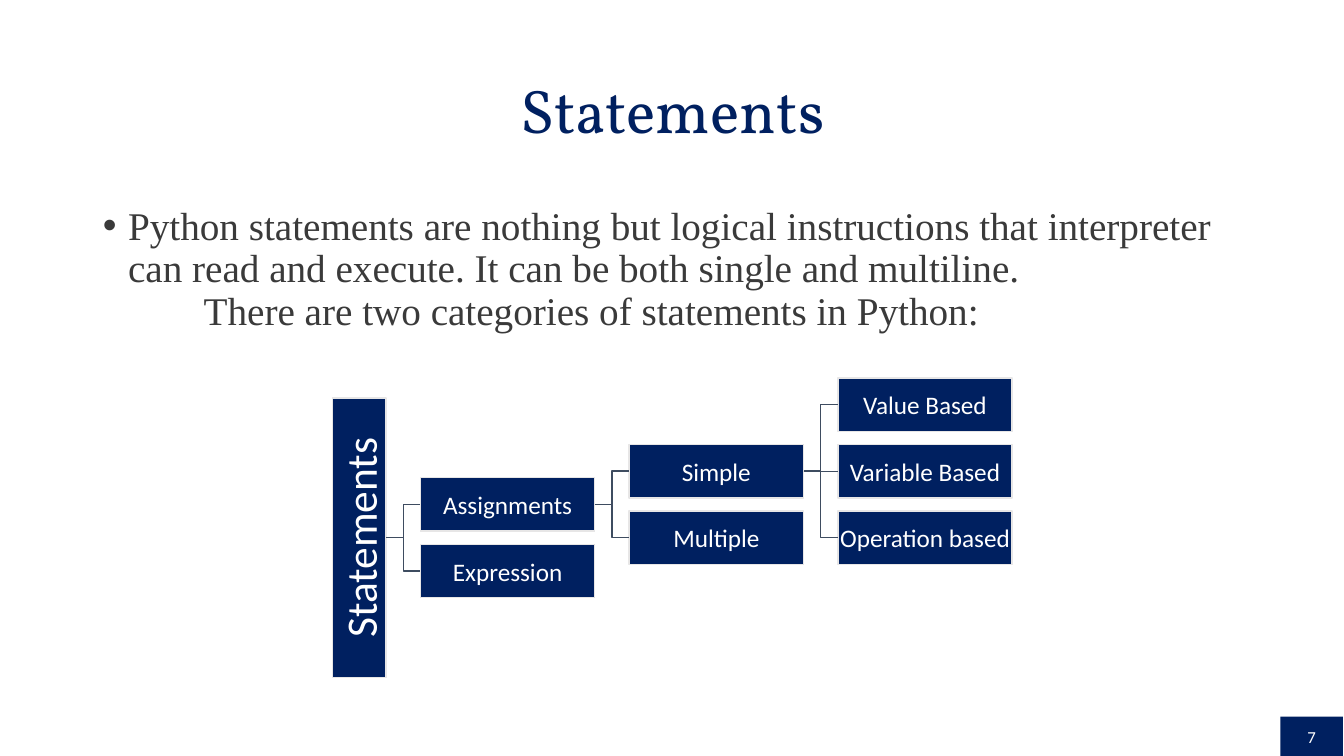
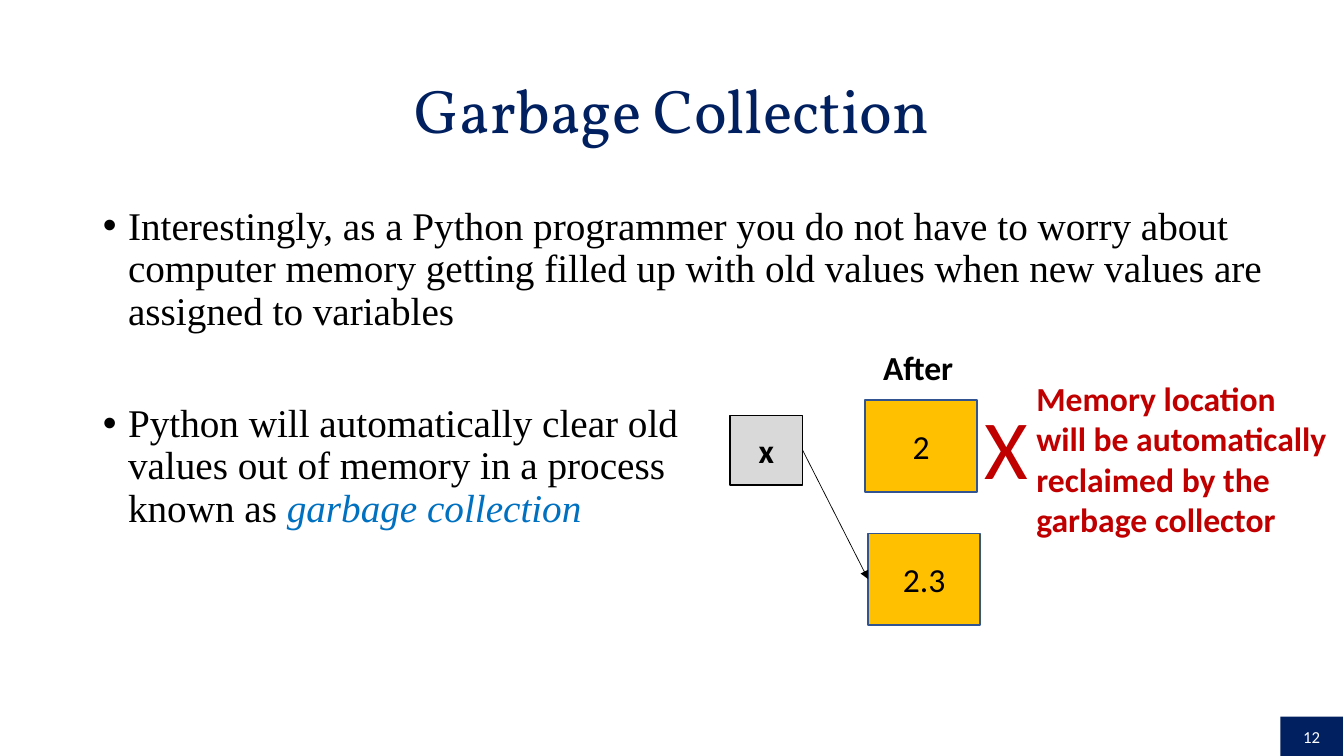
from dataclasses import dataclass

from lxml.etree import SubElement
from pptx import Presentation
from pptx.dml.color import RGBColor
from pptx.enum.shapes import MSO_CONNECTOR, MSO_SHAPE
from pptx.enum.text import MSO_ANCHOR, MSO_AUTO_SIZE, PP_ALIGN
from pptx.oxml.ns import qn
from pptx.util import Inches, Pt


@dataclass(frozen=True)
class Theme:
    """Colours, fonts and type sizes shared by the slides."""
    navy: RGBColor = RGBColor(0x00, 0x20, 0x60)
    white: RGBColor = RGBColor(0xFF, 0xFF, 0xFF)
    black: RGBColor = RGBColor(0x00, 0x00, 0x00)
    charcoal: RGBColor = RGBColor(0x3A, 0x3A, 0x3A)
    slate: RGBColor = RGBColor(0x3E, 0x4C, 0x60)
    pale: RGBColor = RGBColor(0xE7, 0xE6, 0xE6)
    grey: RGBColor = RGBColor(0xD9, 0xD9, 0xD9)
    amber: RGBColor = RGBColor(0xFF, 0xC0, 0x00)
    steel: RGBColor = RGBColor(0x32, 0x54, 0x91)
    blue: RGBColor = RGBColor(0x00, 0x70, 0xC0)
    red: RGBColor = RGBColor(0xC0, 0x00, 0x00)
    title_font: str = "Vollkorn"
    body_font: str = "Times New Roman"
    label_font: str = "Calibri"
    title_size: Pt = Pt(44)
    body_size: Pt = Pt(28)
    root_size: Pt = Pt(31)
    node_size: Pt = Pt(18)
    label_size: Pt = Pt(24)
    cross_size: Pt = Pt(60)
    number_size: Pt = Pt(12)


theme = Theme()


def add_box(page, place, text, size, fill, line, ink, bold=False):
    """Add a filled rectangle with centred text; line None means no outline."""
    box = page.shapes.add_shape(MSO_SHAPE.RECTANGLE, *map(Inches, place))
    box.shadow.inherit = False
    box.fill.solid()
    box.fill.fore_color.rgb = fill
    if line is None:
        box.line.fill.background()
    else:
        box.line.color.rgb = line
        box.line.width = Pt(1)
    frame = box.text_frame
    frame.vertical_anchor = MSO_ANCHOR.MIDDLE
    frame.margin_left = frame.margin_right = Inches(0.01)
    frame.margin_top = frame.margin_bottom = Inches(0.01)
    para = frame.paragraphs[0]
    para.text = text
    para.alignment = PP_ALIGN.CENTER
    para.font.name, para.font.size = theme.label_font, size
    para.font.color.rgb, para.font.bold = ink, bold
    return box


def add_link(page, kind, start, end, colour, width):
    """Join the right side of one box to the left side of another."""
    link = page.shapes.add_connector(kind, 0, 0, 0, 0)
    link.begin_connect(start, 3)
    link.end_connect(end, 1)
    link.line.color.rgb = colour
    link.line.width = Pt(width)
    SubElement(link._element.spPr, qn("a:effectLst"))
    return link


deck = Presentation()
deck.slide_width, deck.slide_height = Inches(13.33), Inches(7.5)

# Title, page number, body size, body colour, bullets with space before
slides = [
    ("Statements", "7", (11.5, 4.76), theme.charcoal, [
        ("Python statements are nothing but logical instructions that "
         "interpreter can read and execute. It can be both single and "
         "multiline.\v\t\tThere are two categories of statements in Python:",
         10)]),
    ("Garbage Collection", "12", (11.82, 5.13), theme.black, [
        ("Interestingly, as a Python programmer you do not have to worry "
         "about computer memory getting filled up with old values when new "
         "values are assigned to variables", 10),
        ("Python will automatically clear old\vvalues out of memory in a "
         "process\vknown as ", 50)]),
]

pages = []
for heading, number, (width, height), ink, bullets in slides:
    page = deck.slides.add_slide(deck.slide_layouts[1])
    pages.append(page)

    title = page.shapes.title
    title.left, title.top = Inches(0.92), Inches(0.4)
    title.width, title.height = Inches(11.5), Inches(1.45)
    title.text_frame.auto_size = MSO_AUTO_SIZE.NONE
    title.text_frame.vertical_anchor = MSO_ANCHOR.MIDDLE
    para = title.text_frame.paragraphs[0]
    para.text = heading
    para.alignment = PP_ALIGN.CENTER
    para.line_spacing = 0.9
    para.font.name, para.font.size = theme.title_font, theme.title_size
    para.font.color.rgb = theme.navy

    body = page.placeholders[1]
    body.left, body.top = Inches(0.92), Inches(2)
    body.width, body.height = Inches(width), Inches(height)
    frame = body.text_frame
    frame.auto_size = MSO_AUTO_SIZE.NONE
    for index, (text, space) in enumerate(bullets):
        para = frame.add_paragraph() if index else frame.paragraphs[0]
        para.text = text
        para.line_spacing = 0.9
        para.space_before = Pt(space)
        para.font.name, para.font.size = theme.body_font, theme.body_size
        para.font.color.rgb = ink
        properties = para._p.get_or_add_pPr()
        properties.set("marL", str(Inches(0.25)))
        properties.set("indent", str(Inches(-0.25)))

    add_box(page, (12.7, 7.11, 0.62, 0.4), number, theme.number_size,
            theme.navy, None, theme.white)

statements, garbage = pages

# Statement tree: name, parent, column, row in half steps
root = add_box(statements, (3.3, 3.95, 0.53, 2.77), "Statements",
               theme.root_size, theme.navy, theme.pale, theme.white)
root.text_frame._txBody.bodyPr.set("vert", "vert270")
nodes = {"Statements": root}
tree = [
    ("Assignments", "Statements", 0, 3),
    ("Expression", "Statements", 0, 5),
    ("Simple", "Assignments", 1, 2),
    ("Multiple", "Assignments", 1, 4),
    ("Value Based", "Simple", 2, 0),
    ("Variable Based", "Simple", 2, 2),
    ("Operation based", "Simple", 2, 4),
]
for name, parent, column, row in tree:
    place = (4.17 + 2.07 * column, 3.75 + 0.33 * row, 1.73, 0.53)
    nodes[name] = add_box(statements, place, name, theme.node_size,
                          theme.navy, theme.pale, theme.white)
    add_link(statements, MSO_CONNECTOR.ELBOW, nodes[parent], nodes[name],
             theme.slate, 1)

# Variable x now refers to the new value
variable = add_box(garbage, (7.24, 4.12, 0.72, 0.69), "x", theme.label_size,
                   theme.grey, theme.black, theme.black, bold=True)
old_value, new_value = [
    add_box(garbage, (left, top, 1.11, 0.91), text, theme.label_size,
            theme.amber, theme.steel, theme.black)
    for left, top, text in [(8.58, 3.97, "2"), (8.61, 5.29, "2.3")]]
arrow = add_link(garbage, MSO_CONNECTOR.STRAIGHT, variable, new_value,
                 theme.black, 0.5)
SubElement(arrow.line._get_or_add_ln(), qn("a:tailEnd"), type="triangle")

labels = [
    ((8.66, 3.39, 0.91, 0.5), ["After"],
     theme.label_size, theme.black, True),
    ((9.67, 3.87, 0.64, 1.11), ["X"],
     theme.cross_size, theme.red, False),
    ((10.18, 3.7, 3.18, 1.72),
     ["Memory location\vwill be automatically",
      "reclaimed by the\vgarbage collector"],
     theme.label_size, theme.red, True),
]
for place, lines, size, colour, bold in labels:
    frame = garbage.shapes.add_textbox(*map(Inches, place)).text_frame
    frame.word_wrap = False
    for index, line in enumerate(lines):
        para = frame.add_paragraph() if index else frame.paragraphs[0]
        para.text = line
        para.font.name, para.font.size = theme.label_font, size
        para.font.color.rgb, para.font.bold = colour, bold

# Key term at the end of the last bullet
span = garbage.placeholders[1].text_frame.paragraphs[-1].add_run()
span.text = "garbage collection"
span.font.italic = True
span.font.color.rgb = theme.blue

deck.save("out.pptx")
